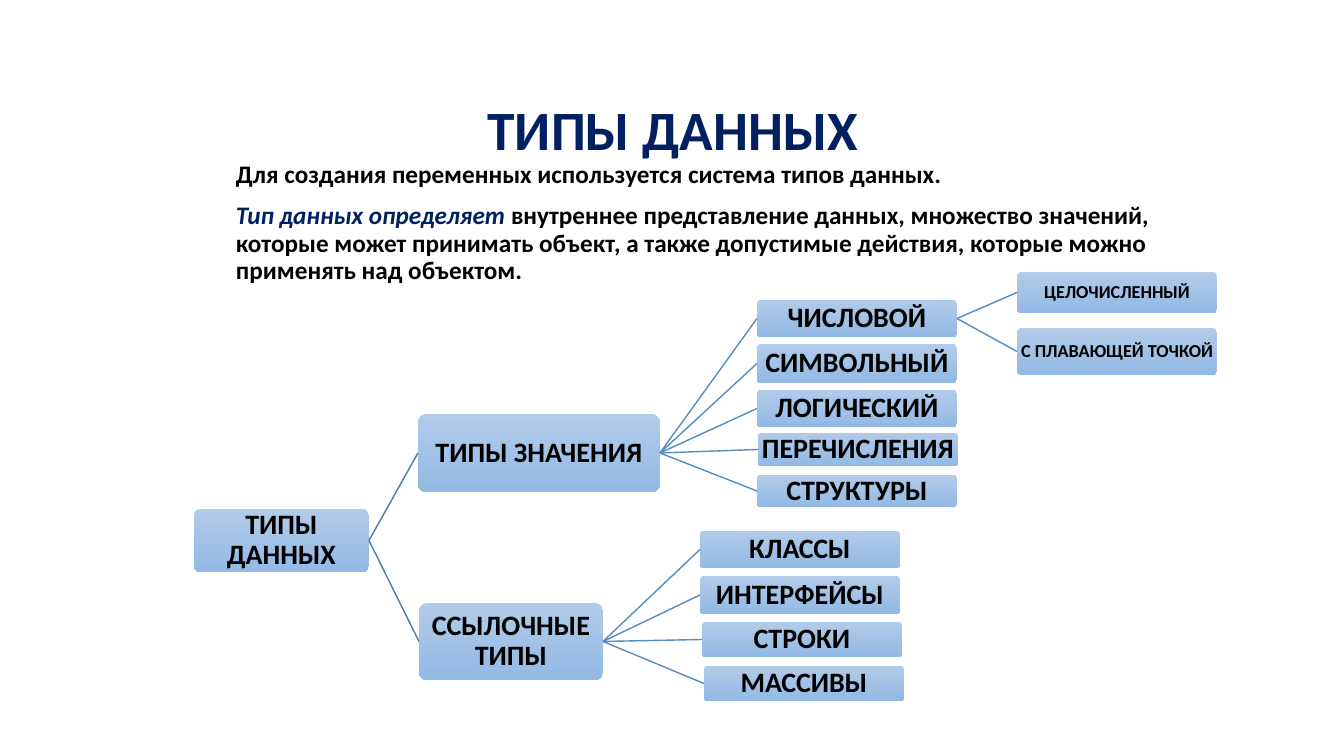
from dataclasses import dataclass

from pptx import Presentation
from pptx.dml.color import RGBColor as RGB
from pptx.enum.shapes import MSO_CONNECTOR as LINK, MSO_SHAPE as SHAPE
from pptx.enum.text import MSO_ANCHOR as ANCHOR, MSO_AUTO_SIZE as FIT, PP_ALIGN as ALIGN
from pptx.oxml.ns import qn
from pptx.util import Pt
from lxml.etree import SubElement

SCALE = 914400 / 100.8


@dataclass(frozen=True)
class Theme:
    font: str = "Calibri"
    navy: str = "002060"
    ink: str = "000000"
    light: str = "B1CBE9"
    deep: str = "93B9E4"
    trunk: str = "497CAB"
    twig: str = "538DC1"
    title: float = 39.6
    body: int = 18
    node: int = 20
    small: int = 13


@dataclass(frozen=True)
class Node:
    label: str
    box: tuple
    kids: tuple = ()
    size: int = Theme.node
    line: str = Theme.twig


THEME = Theme()


def px(*values):
    return [round(v * SCALE) for v in values]


def style(run, size, color, italic=False):
    font = run.font
    font.name, font.size, font.bold, font.italic = THEME.font, Pt(size), True, italic
    font.color.rgb = RGB.from_string(color)


def head(slide, box):
    title = slide.shapes.title
    title.left, title.top, title.width, title.height = px(*box)
    frame = title.text_frame
    frame.text = "ТИПЫ ДАННЫХ"
    frame.auto_size, frame.vertical_anchor = FIT.NONE, ANCHOR.MIDDLE
    para = frame.paragraphs[0]
    para.alignment, para.line_spacing = ALIGN.CENTER, 0.9
    style(para.runs[0], THEME.title, THEME.navy)


def intro(slide, box):
    frame = slide.shapes.add_textbox(*px(*box)).text_frame
    frame.word_wrap = True
    frame.text = "Для создания переменных используется система типов данных."
    first, second = frame.paragraphs[0], frame.add_paragraph()
    style(first.runs[0], THEME.body, THEME.ink)
    term, rest = second.add_run(), second.add_run()
    term.text = "Тип данных определяет "
    rest.text = ("внутреннее представление данных, множество значений, которые может "
                 "принимать объект, а также допустимые действия, которые можно "
                 "применять над объектом.")
    style(term, THEME.body, THEME.navy, True)
    style(rest, THEME.body, THEME.ink)
    for para in (first, second):
        para.line_spacing, para.space_before = 0.9, Pt(10)


def block(slide, node, left, top):
    x, y, wide, high = node.box
    shape = slide.shapes.add_shape(SHAPE.ROUNDED_RECTANGLE, *px(left + x, top + y, wide, high))
    shape.adjustments[0] = 0.1
    shape.shadow.inherit = False
    shape.line.fill.background()
    shape.fill.gradient()
    shape.fill.gradient_angle = 270
    for stop, color in zip(shape.fill.gradient_stops, (THEME.light, THEME.deep)):
        stop.color.rgb = RGB.from_string(color)
    frame = shape.text_frame
    frame.text = node.label
    frame.word_wrap, frame.vertical_anchor = True, ANCHOR.MIDDLE
    frame.margin_left, frame.margin_top, frame.margin_right, frame.margin_bottom = px(1, 1, 1, 1)
    para = frame.paragraphs[0]
    para.alignment, para.line_spacing = ALIGN.CENTER, 0.9
    style(para.runs[0], node.size, THEME.ink)
    return shape


def join(slide, start, end, color):
    link = slide.shapes.add_connector(LINK.STRAIGHT, 0, 0, 0, 0)
    link.begin_connect(start, 3)
    link.end_connect(end, 1)
    link.line.color.rgb = RGB.from_string(color)
    link.line.width = Pt(1)
    SubElement(link._element.spPr, qn("a:effectLst"))


def tree(slide, node, left, top):
    shape = block(slide, node, left, top)
    for kid in node.kids:
        join(slide, shape, tree(slide, kid, left, top), node.line)
    return shape


def leaf(label, x, y, high, **extra):
    return Node(label, (x, y, 200, high), **extra)


NUMBERS = (
    leaf("ЦЕЛОЧИСЛЕННЫЙ", 823, 0, 41, size=THEME.small),
    leaf("С ПЛАВАЮЩЕЙ ТОЧКОЙ", 823, 56, 47, size=THEME.small),
)
VALUES = Node("ТИПЫ ЗНАЧЕНИЯ", (224, 142, 242, 78), (
    leaf("ЧИСЛОВОЙ", 563, 28, 37, kids=NUMBERS),
    leaf("СИМВОЛЬНЫЙ", 563, 72, 39),
    leaf("ЛОГИЧЕСКИЙ", 563, 118, 37),
    leaf("ПЕРЕЧИСЛЕНИЯ", 564, 161, 33),
    leaf("СТРУКТУРЫ", 563, 203, 32),
))
REFS = Node("ССЫЛОЧНЫЕ ТИПЫ", (225, 331, 184, 77), (
    leaf("КЛАССЫ", 506, 259, 37),
    leaf("ИНТЕРФЕЙСЫ", 506, 304, 38),
    leaf("СТРОКИ", 508, 350, 35),
    leaf("МАССИВЫ", 510, 394, 35),
))
ROOT = Node("ТИПЫ ДАННЫХ", (0, 237, 175, 63), (VALUES, REFS), line=THEME.trunk)

deck = Presentation()
deck.slide_width, deck.slide_height = px(1344, 756)
page = deck.slides.add_slide(deck.slide_layouts[5])
head(page, (241, 95, 864, 76))
intro(page, (226, 157, 1002, 209))
tree(page, ROOT, 194, 272)
deck.save("out.pptx")
